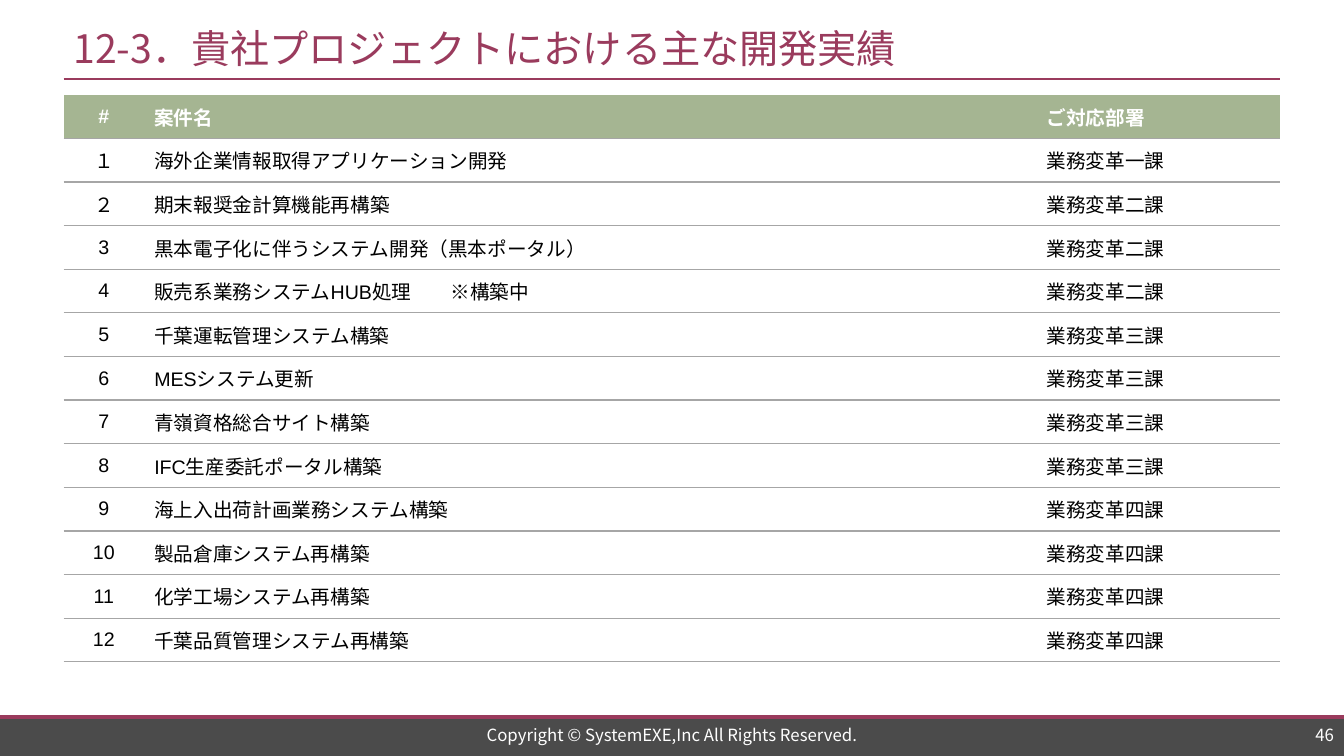
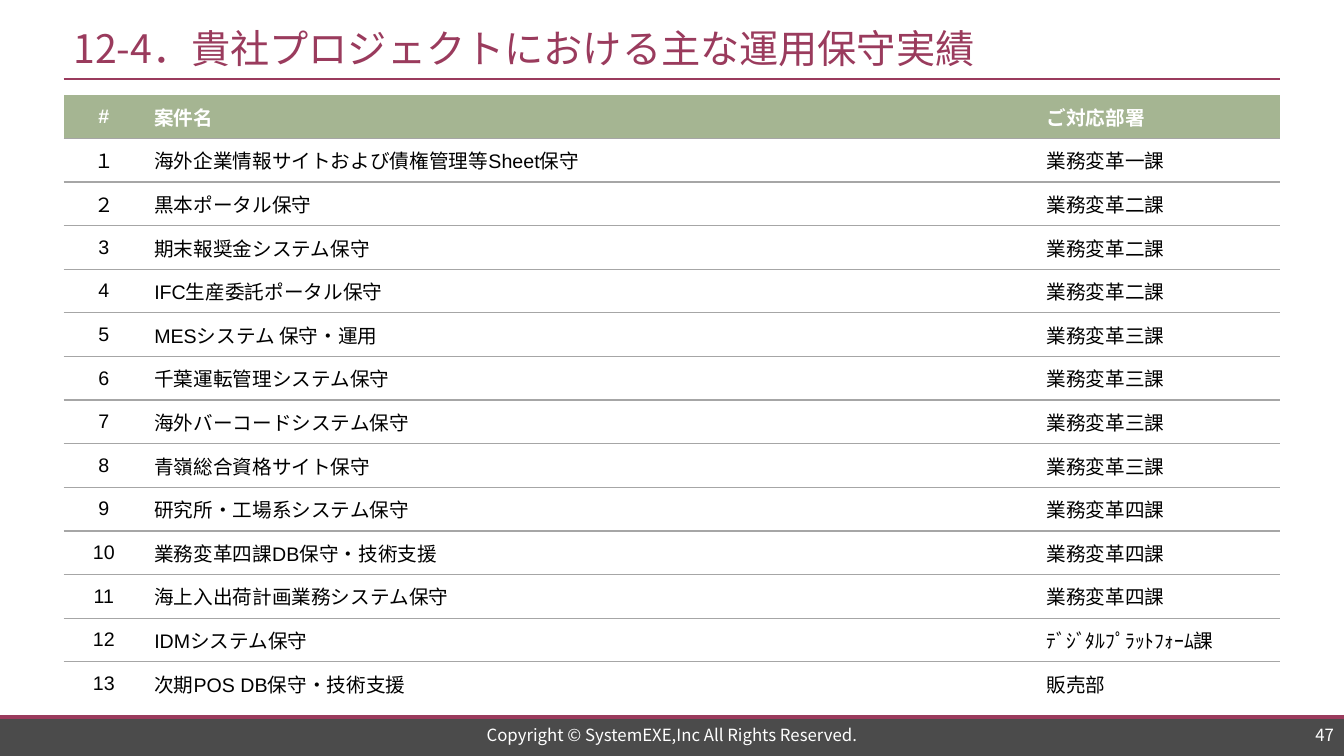
from collections import namedtuple
from dataclasses import dataclass

import pptx
import pptx.dml.color
import pptx.enum.shapes
import pptx.enum.text
import pptx.oxml.ns
import pptx.util
from lxml import etree

ALIGN = pptx.enum.text.PP_ALIGN
MIDDLE = pptx.enum.text.MSO_ANCHOR.MIDDLE
Inches = pptx.util.Inches
qn = pptx.oxml.ns.qn
Box = namedtuple("Box", "left top width height")


@dataclass(frozen=True)
class Theme:
    accent: str = "9A3B5D"
    header: str = "A5B592"
    rule: str = "A6A6A6"
    footer: str = "4B4B4B"
    light: str = "FFFFFF"
    dark: str = "000000"
    latin: str = "Arial"
    japanese: str = "Noto Sans CJK JP"
    title_size: int = 28
    table_size: int = 14
    footer_size: int = 12


THEME = Theme()
WIDTH, HEIGHT = 13.33, 7.5
MARGIN = 0.63
CONTENT = WIDTH - 2 * MARGIN
TITLE = Box(MARGIN, 0.2, CONTENT, 0.58)
TABLE = Box(MARGIN, 0.94, CONTENT, 6.06)
FOOTER = Box(0, 7.1, WIDTH, HEIGHT - 7.1)
ROW_HEIGHT = TABLE.height / 14
COLUMN_SHARES = (0.8 / CONTENT, 8.85 / CONTENT, 2.42 / CONTENT)
NO_TABLE_STYLE = "{2D5ABB26-0587-4C30-8999-92F81FD0307C}"
COPYRIGHT = "Copyright © SystemEXE,Inc All Rights Reserved."
HEADINGS = ("#", "案件名", "ご対応部署")

DEVELOPMENT = [
    ("海外企業情報取得アプリケーション開発", "業務変革一課"),
    ("期末報奨金計算機能再構築", "業務変革二課"),
    ("黒本電子化に伴うシステム開発（黒本ポータル）", "業務変革二課"),
    ("販売系業務システムHUB処理　　※構築中", "業務変革二課"),
    ("千葉運転管理システム構築", "業務変革三課"),
    ("MESシステム更新", "業務変革三課"),
    ("青嶺資格総合サイト構築", "業務変革三課"),
    ("IFC生産委託ポータル構築", "業務変革三課"),
    ("海上入出荷計画業務システム構築", "業務変革四課"),
    ("製品倉庫システム再構築", "業務変革四課"),
    ("化学工場システム再構築", "業務変革四課"),
    ("千葉品質管理システム再構築", "業務変革四課"),
]
MAINTENANCE = [
    ("海外企業情報サイトおよび債権管理等Sheet保守", "業務変革一課"),
    ("黒本ポータル保守", "業務変革二課"),
    ("期末報奨金システム保守", "業務変革二課"),
    ("IFC生産委託ポータル保守", "業務変革二課"),
    ("MESシステム 保守・運用", "業務変革三課"),
    ("千葉運転管理システム保守", "業務変革三課"),
    ("海外バーコードシステム保守", "業務変革三課"),
    ("青嶺総合資格サイト保守", "業務変革三課"),
    ("研究所・工場系システム保守", "業務変革四課"),
    ("業務変革四課DB保守・技術支援", "業務変革四課"),
    ("海上入出荷計画業務システム保守", "業務変革四課"),
    ("IDMシステム保守", "ﾃﾞｼﾞﾀﾙﾌﾟﾗｯﾄﾌｫｰﾑ課"),
    ("次期POS DB保守・技術支援", "販売部"),
]


def rgb(colour):
    return pptx.dml.color.RGBColor.from_string(colour)


def write(frame, text, size, colour, latin=THEME.japanese, align=ALIGN.LEFT, bold=False):
    paragraph = frame.paragraphs[0]
    paragraph.text = text
    paragraph.alignment = align
    font = paragraph.font
    font.size, font.bold, font.name = pptx.util.Pt(size), bold, latin
    font.color.rgb = rgb(colour)
    defaults = paragraph._p.pPr.find(qn("a:defRPr"))
    etree.SubElement(defaults, qn("a:ea")).set("typeface", THEME.japanese)


def add_text(slide, box, text, size, colour, align=ALIGN.LEFT, wrap=True):
    frame = slide.shapes.add_textbox(*map(Inches, box)).text_frame
    frame.word_wrap = wrap
    frame.vertical_anchor = MIDDLE
    frame.margin_top = frame.margin_bottom = 0
    write(frame, text, size, colour, align=align)


def add_rule(slide, left, y, width, weight):
    rule = slide.shapes.add_connector(
        pptx.enum.shapes.MSO_CONNECTOR.STRAIGHT,
        Inches(left), Inches(y), Inches(left + width), Inches(y))
    rule.line.color.rgb = rgb(THEME.accent)
    rule.line.width = pptx.util.Pt(weight)
    etree.SubElement(rule._element.spPr, qn("a:effectLst"))


def add_title(slide, box, title):
    add_rule(slide, box.left, box.top + box.height, box.width, 1.5)
    add_text(slide, box._replace(height=box.height - 0.03), title,
             THEME.title_size, THEME.accent, wrap=False)


def add_footer(slide, box, page):
    band = slide.shapes.add_shape(
        pptx.enum.shapes.MSO_SHAPE.RECTANGLE, *map(Inches, box))
    band.shadow.inherit = False
    band.fill.solid()
    band.fill.fore_color.rgb = rgb(THEME.footer)
    band.line.fill.background()
    add_rule(slide, box.left, box.top + 0.01, box.width, 2.75)
    line = Box(box.left + box.width / 4, box.top + 0.07, box.width / 2, 0.24)
    add_text(slide, line, COPYRIGHT, THEME.footer_size, THEME.light, ALIGN.CENTER)
    number_width = 1.57
    number = line._replace(left=box.left + box.width - number_width, width=number_width)
    add_text(slide, number, str(page), THEME.footer_size, THEME.light, ALIGN.RIGHT)


def underline(cell):
    """Draw the cell's bottom border; it has to precede the fill."""
    border = etree.Element(qn("a:lnB"), w=str(pptx.util.Pt(1)))
    fill = etree.SubElement(border, qn("a:solidFill"))
    etree.SubElement(fill, qn("a:srgbClr"), val=THEME.rule)
    cell._tc.get_or_add_tcPr().insert(0, border)


def add_projects(slide, box, projects, closed):
    """List numbered projects; closed draws a rule below the last one."""
    numbers = ["１", "２", *map(str, range(3, len(projects) + 1))]
    rows = [HEADINGS] + [(n, *project) for n, project in zip(numbers, projects)]
    frame = slide.shapes.add_table(
        len(rows), len(HEADINGS), Inches(box.left), Inches(box.top),
        Inches(box.width), Inches(ROW_HEIGHT * len(rows)))
    table = frame.table
    table.horz_banding = table.first_row = False
    table._tbl.tblPr.find(qn("a:tableStyleId")).text = NO_TABLE_STYLE
    for column, share in zip(table.columns, COLUMN_SHARES):
        column.width = Inches(box.width * share)
    for r, row in enumerate(rows):
        table.rows[r].height = Inches(ROW_HEIGHT)
        heading = r == 0
        for c, text in enumerate(row):
            cell = table.cell(r, c)
            cell.vertical_anchor = MIDDLE
            if heading:
                cell.fill.solid()
                cell.fill.fore_color.rgb = rgb(THEME.header)
            else:
                cell.fill.background()
            if closed or r < len(rows) - 1:
                underline(cell)
            write(cell.text_frame, text, THEME.table_size,
                  THEME.light if heading else THEME.dark, THEME.latin,
                  ALIGN.LEFT if c else ALIGN.CENTER, heading)


def add_record_slide(deck, page, title, projects, closed):
    slide = deck.slides.add_slide(deck.slide_layouts[6])
    add_footer(slide, FOOTER, page)
    add_title(slide, TITLE, title)
    add_projects(slide, TABLE, projects, closed)


def main():
    deck = pptx.Presentation()
    deck.slide_width, deck.slide_height = Inches(WIDTH), Inches(HEIGHT)
    add_record_slide(deck, 46, "12-3．貴社プロジェクトにおける主な開発実績", DEVELOPMENT, True)
    add_record_slide(deck, 47, "12-4．貴社プロジェクトにおける主な運用保守実績", MAINTENANCE, False)
    deck.save("out.pptx")


if __name__ == "__main__":
    main()
